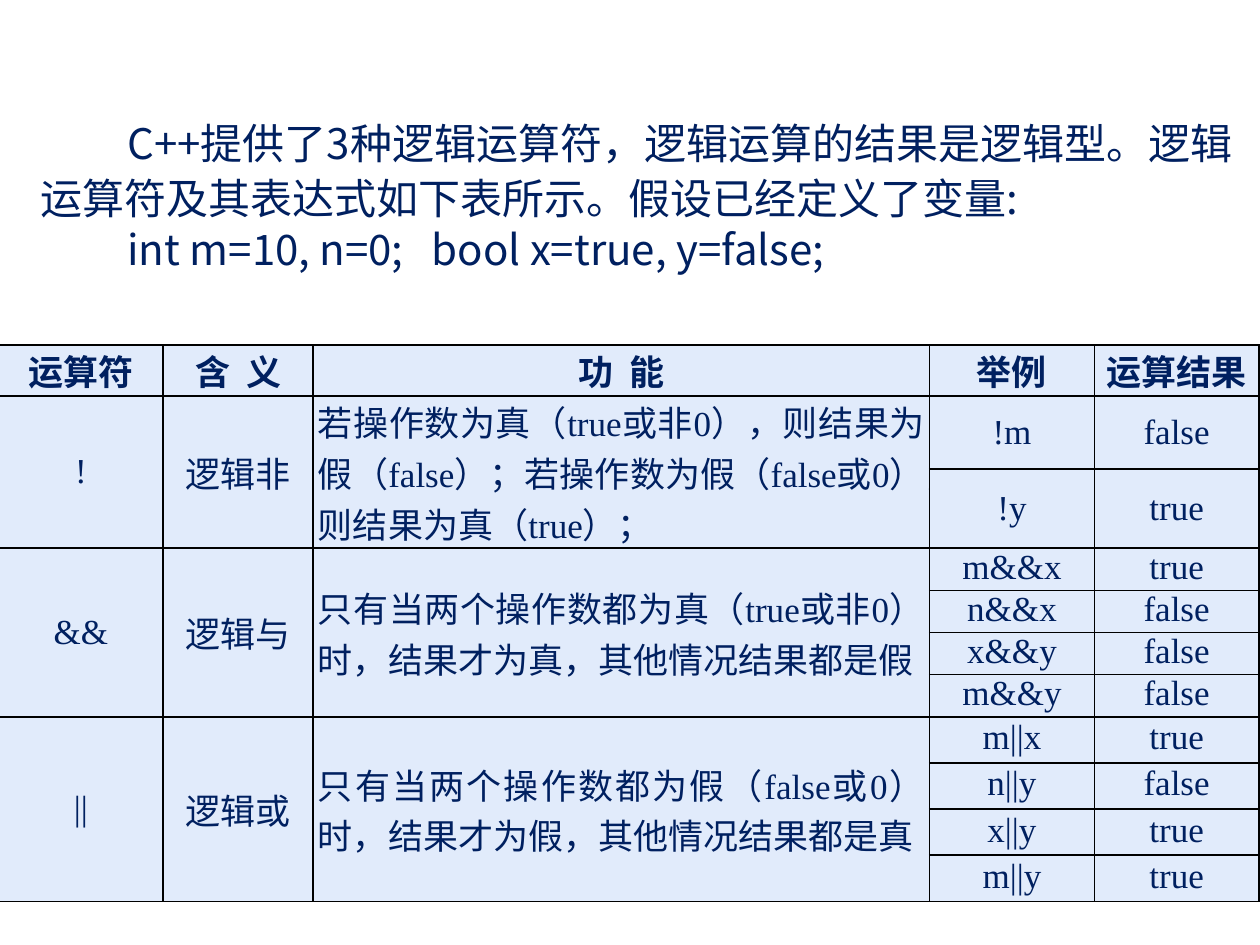
from lxml import etree
from pptx import Presentation
from pptx.dml.color import RGBColor
from pptx.enum.text import MSO_ANCHOR, PP_ALIGN
from pptx.oxml.ns import qn
from pptx.util import Cm, Pt

CENTER, JUSTIFY = PP_ALIGN.CENTER, PP_ALIGN.JUSTIFY
TOP, MIDDLE = MSO_ANCHOR.TOP, MSO_ANCHOR.MIDDLE
COLORS = {"text": "002060", "cell": "E1EBFB", "border": "000000"}


def set_font(p, name, size, bold=False):
    p.font.name = name
    p.font.size = Pt(size)
    p.font.bold = bold
    p.font.color.rgb = RGBColor.from_string(COLORS["text"])


def fill_cell(cell, text, align=CENTER, anchor=MIDDLE, bold=False, spacing=None):
    cell.text = text
    cell.vertical_anchor = anchor
    cell.margin_left = cell.margin_right = Cm(0.1)
    cell.margin_top = cell.margin_bottom = 0
    p = cell.text_frame.paragraphs[0]
    p.alignment = align
    if spacing:
        p.line_spacing = spacing
    set_font(p, "Times New Roman", 20, bold)


prs = Presentation()
prs.slide_width, prs.slide_height = Cm(25.4), Cm(19.05)
s = prs.slides.add_slide(prs.slide_layouts[6])

tf = s.shapes.add_textbox(Cm(0.56), Cm(2.14), Cm(24.79), Cm(4.8)).text_frame
tf.word_wrap = True
intro = [
    ("C++提供了3种逻辑运算符，逻辑运算的结果是逻辑型。逻辑运算符及其表达式如下表所示。假设已经定义了变量:", 1.1),
    ("int m=10, n=0;   bool x=true, y=false;", 1.0),
]
for i, (text, spacing) in enumerate(intro):
    p = tf.add_paragraph() if i else tf.paragraphs[0]
    p.text = text
    p.line_spacing = spacing
    p._p.get_or_add_pPr().set("indent", str(Cm(1.76)))
    set_font(p, "Noto Sans CJK SC", 24)

headers = ["运算符", "含  义", "功  能", "举例", "运算结果"]
operators = [
    ("!", "逻辑非",
     "若操作数为真（true或非0），则结果为假（false）；若操作数为假（false或0），则结果为真（true）；",
     TOP, None, [("!m", "false"), ("!y", "true")]),
    ("&&", "逻辑与",
     "只有当两个操作数都为真（true或非0）时，结果才为真，其他情况结果都是假",
     MIDDLE, 0.85,
     [("m&&x", "true"), ("n&&x", "false"), ("x&&y", "false"), ("m&&y", "false")]),
    ("||", "逻辑或",
     "只有当两个操作数都为假（false或0）时，结果才为假，其他情况结果都是真",
     MIDDLE, 0.85,
     [("m||x", "true"), ("n||y", "false"), ("x||y", "true"), ("m||y", "true")]),
]
widths = [3.32, 3.02, 12.43, 3.32, 3.32]
heights = [1.03, 1.47, 1.6] + [0.85] * 4 + [0.93] * 4

table = s.shapes.add_table(len(heights), len(widths), Cm(-0.03), Cm(6.95),
                           Cm(sum(widths)), Cm(sum(heights))).table
for column, width in zip(table.columns, widths):
    column.width = Cm(width)
for row, height in zip(table.rows, heights):
    row.height = Cm(height)

for c, text in enumerate(headers):
    fill_cell(table.cell(0, c), text, anchor=TOP if c == 2 else MIDDLE, bold=True)

first = 1
for symbol, meaning, function, anchor, spacing, examples in operators:
    last = first + len(examples) - 1
    for c in range(3):
        table.cell(first, c).merge(table.cell(last, c))
    fill_cell(table.cell(first, 0), symbol)
    fill_cell(table.cell(first, 1), meaning)
    fill_cell(table.cell(first, 2), function, JUSTIFY, anchor)
    for r, example in enumerate(examples, first):
        for c, text in enumerate(example, 3):
            fill_cell(table.cell(r, c), text, spacing=spacing)
    first = last + 1

for cell in table.iter_cells():
    tcPr = cell._tc.get_or_add_tcPr()
    for side in ("lnL", "lnR", "lnT", "lnB"):
        ln = etree.SubElement(tcPr, qn("a:" + side), w=str(Pt(1)))
        solid = etree.SubElement(ln, qn("a:solidFill"))
        etree.SubElement(solid, qn("a:srgbClr"), val=COLORS["border"])
    cell.fill.solid()
    cell.fill.fore_color.rgb = RGBColor.from_string(COLORS["cell"])

prs.save("out.pptx")
